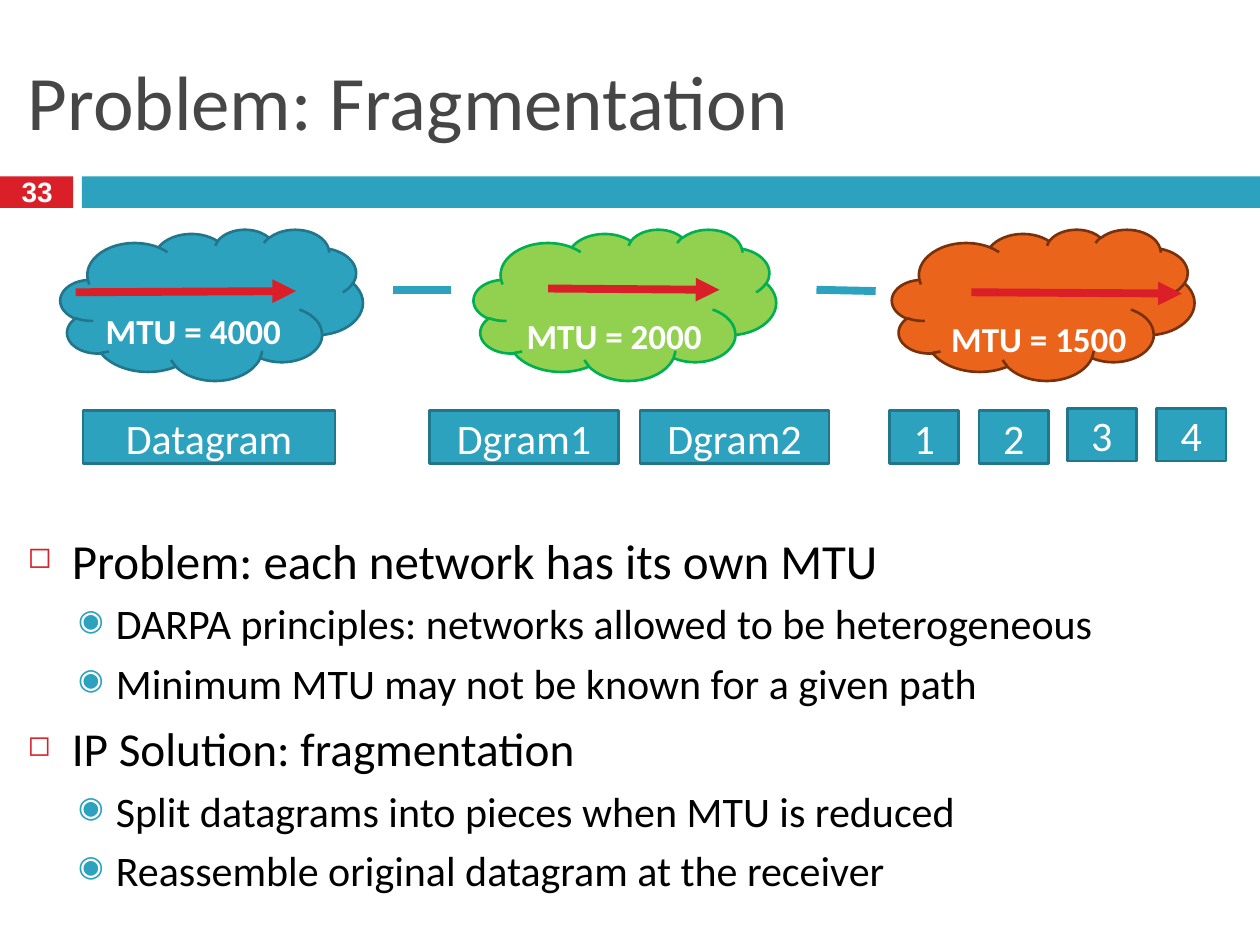
import dataclasses

import lxml.etree
import pptx
import pptx.dml.color
import pptx.enum.shapes
import pptx.enum.text
import pptx.oxml.ns
import pptx.util

Inches, Pt = pptx.util.Inches, pptx.util.Pt
rgb = pptx.dml.color.RGBColor.from_string
qn = pptx.oxml.ns.qn
Shape = pptx.enum.shapes.MSO_SHAPE
Align = pptx.enum.text.PP_ALIGN
Anchor = pptx.enum.text.MSO_ANCHOR


@dataclasses.dataclass(frozen=True)
class Theme:
    teal: str = "2DA2BF"
    dark_teal: str = "21768B"
    red: str = "DA1F28"
    green: str = "92D050"
    dark_green: str = "00B050"
    orange: str = "EB641B"
    brown: str = "78310B"
    gray: str = "464646"
    white: str = "FFFFFF"
    black: str = "000000"
    font: str = "Calibri"
    number_font: str = "Arial"
    title_size: float = 44
    body_size: float = 24
    mtu_size: float = 20
    number_size: float = 16
    outline: float = 1.5
    link: float = 4.5


theme = Theme()
deck = pptx.Presentation()
deck.slide_width, deck.slide_height = Inches(10), Inches(7.5)
page = deck.slides.add_slide(deck.slide_layouts[6])


def add_box(place, kind=None, fill=None, line=None, text="", size=theme.body_size,
            color=theme.white, font=theme.font, bold=False, align=Align.CENTER,
            anchor=Anchor.MIDDLE, wrap=True):
    """Add a preset shape, or a text box when kind is None, with one optional run."""
    lengths = [Inches(value) for value in place]
    if kind is None:
        box = page.shapes.add_textbox(*lengths)
    else:
        box = page.shapes.add_shape(kind, *lengths)
        box.shadow.inherit = False
        box.fill.solid()
        box.fill.fore_color.rgb = rgb(fill)
        if line:
            box.line.color.rgb = rgb(line)
            box.line.width = Pt(theme.outline)
        else:
            box.line.fill.background()
    frame = box.text_frame
    frame.word_wrap = wrap
    frame.vertical_anchor = anchor
    frame.margin_left = frame.margin_right = Inches(0.05)
    frame.margin_top = frame.margin_bottom = Inches(0.05)
    if text:
        para = frame.paragraphs[0]
        para.alignment = align
        span = para.add_run()
        span.text = text
        span.font.name, span.font.size, span.font.bold = font, Pt(size), bold
        span.font.color.rgb = rgb(color)
    return box


def add_line(start, end, color, arrow=False):
    line = page.shapes.add_connector(
        pptx.enum.shapes.MSO_CONNECTOR.STRAIGHT,
        *[Inches(value) for value in (*start, *end)])
    line.line.color.rgb = rgb(color)
    line.line.width = Pt(theme.link)
    if arrow:
        lxml.etree.SubElement(line.line._get_or_add_ln(), qn("a:tailEnd"), type="triangle")
    lxml.etree.SubElement(line._element.spPr, qn("a:effectLst"))


# Header
add_box((0, 1.4, 0.58, 0.25), Shape.RECTANGLE, theme.red)
add_box((0.65, 1.4, 9.35, 0.25), Shape.RECTANGLE, theme.teal)
add_box((0.17, 0.25, 9.67, 1.08), text="Problem: Fragmentation", size=theme.title_size,
        color=theme.gray, align=Align.LEFT)
number = add_box((0.12, 1.37, 0.35, 0.35), text="33", size=theme.number_size,
                 font=theme.number_font, bold=True, wrap=False)
number.text_frame.paragraphs[0].line_spacing = 0.8

# Networks: cloud left, fill, outline, label, label position, arrow start and end
networks = [
    (0.48, theme.teal, theme.dark_teal, "MTU = 4000", (0.75, 2.41), (0.6, 2.32), (2.35, 2.31)),
    (3.76, theme.green, theme.dark_green, "MTU = 2000", (4.09, 2.45), (4.35, 2.29), (5.71, 2.3)),
    (7.08, theme.orange, theme.brown, "MTU = 1500", (7.46, 2.47), (7.71, 2.32), (9.38, 2.33)),
]
for left, fill, outline, label, corner, start, end in networks:
    add_box((left, 1.82, 2.4, 1.2), Shape.CLOUD, fill, outline)
    add_box((*corner, 1.57, 0.41), text=label, size=theme.mtu_size, bold=True,
            anchor=Anchor.TOP, wrap=False)
    add_line(start, end, theme.red, arrow=True)
add_line((3.12, 2.3), (3.58, 2.3), theme.teal)
add_line((6.48, 2.3), (6.95, 2.31), theme.teal)

# Datagrams and their fragments
packets = [
    ("Datagram", 0.66, 3.26, 2), ("Dgram1", 3.41, 3.26, 1.5), ("Dgram2", 5.08, 3.26, 1.5),
    ("1", 7.06, 3.26, 0.55), ("2", 7.77, 3.26, 0.55),
    ("3", 8.47, 3.24, 0.55), ("4", 9.18, 3.24, 0.55),
]
for label, left, top, width in packets:
    add_box((left, top, width, 0.42), Shape.RECTANGLE, theme.teal, theme.dark_teal, label)

# Bullets: level, size, text
points = [
    (0, 28, "Problem: each network has its own MTU"),
    (1, theme.body_size, "DARPA principles: networks allowed to be heterogeneous"),
    (1, theme.body_size, "Minimum MTU may not be known for a given path"),
    (0, 27, "IP Solution: fragmentation"),
    (1, theme.body_size, "Split datagrams into pieces when MTU is reduced"),
    (1, theme.body_size, "Reassemble original datagram at the receiver"),
]
# Per level: margin, hanging indent, space before, bullet, bullet colour, bullet percent
levels = [(0.35, 0.35, 7, "◻", theme.red, 60), (0.7, 0.3, 5, "◉", theme.teal, 70)]
body = add_box((0.17, 4.16, 9.67, 3.18), anchor=Anchor.TOP).text_frame
for index, (level, size, text) in enumerate(points):
    margin, hang, space, bullet, color, percent = levels[level]
    para = body.paragraphs[0] if index == 0 else body.add_paragraph()
    para.level = level
    props = para._p.get_or_add_pPr()
    props.set("marL", str(Inches(margin)))
    props.set("indent", str(-Inches(hang)))
    tint = lxml.etree.SubElement(props, qn("a:buClr"))
    lxml.etree.SubElement(tint, qn("a:srgbClr"), val=color)
    lxml.etree.SubElement(props, qn("a:buSzPct"), val=str(percent * 1000))
    lxml.etree.SubElement(props, qn("a:buChar"), char=bullet)
    para.space_before = Pt(space if index else 0)
    span = para.add_run()
    span.text = text
    span.font.name, span.font.size = theme.font, Pt(size)
    span.font.color.rgb = rgb(theme.black)

deck.save("out.pptx")
